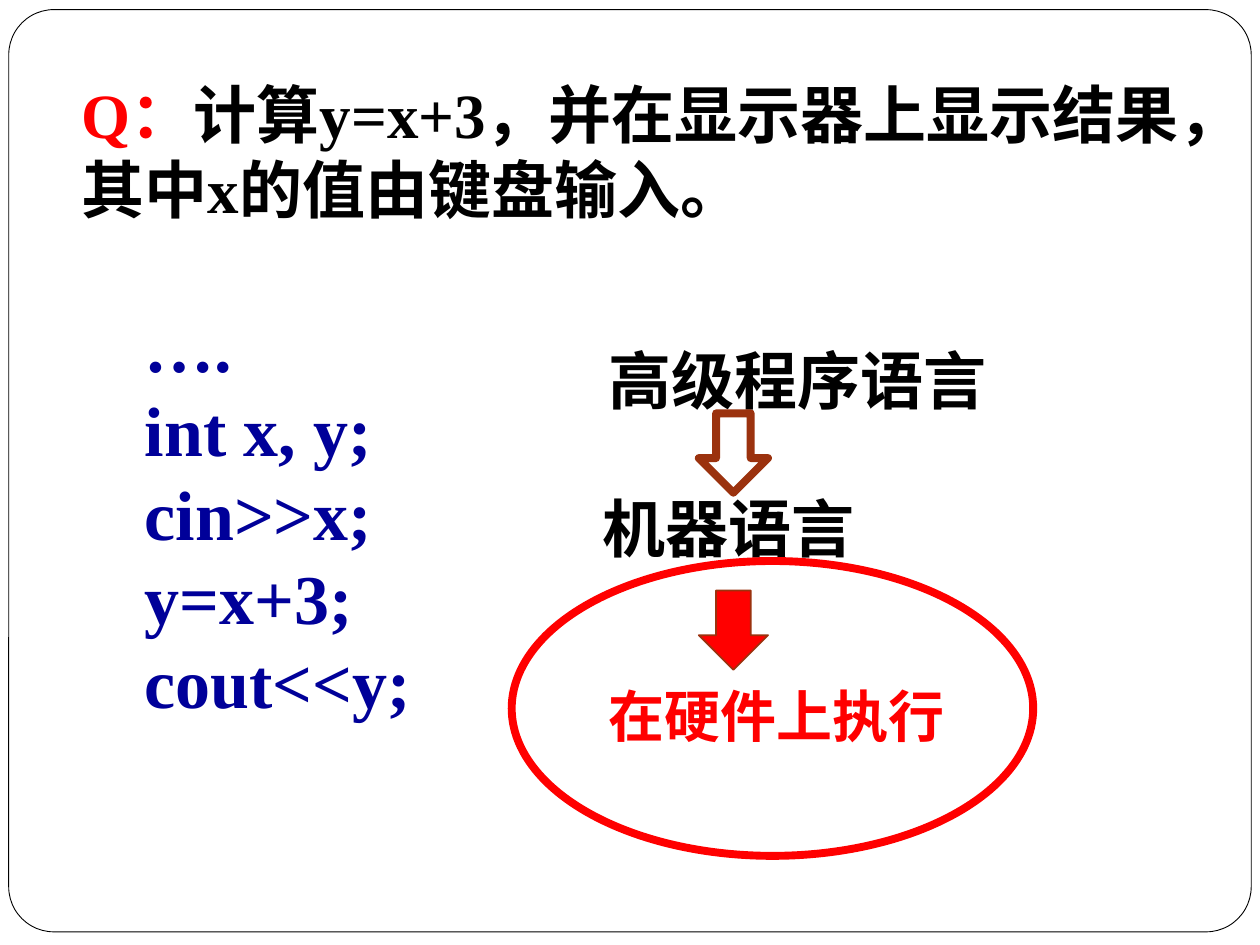
from dataclasses import dataclass
from typing import Optional

from pptx import Presentation
from pptx.dml.color import RGBColor
from pptx.enum.shapes import MSO_SHAPE
from pptx.enum.text import PP_ALIGN
from pptx.util import Pt

ROUNDED = MSO_SHAPE.ROUNDED_RECTANGLE
DOWN_ARROW = MSO_SHAPE.DOWN_ARROW
ELLIPSE = MSO_SHAPE.OVAL
LEFT_ALIGN = PP_ALIGN.LEFT

BLACK, WHITE, RED, NAVY, BROWN = "000000", "FFFFFF", "FF0000", "000099", "9B320E"
QUESTION = "计算y=x+3，并在显示器上显示结果，其中x的值由键盘输入。"
CODE = ["….", "int x, y;", "cin>>x;", "y=x+3;", "cout<<y;"]


@dataclass
class Area:
    left: float
    top: float
    width: float
    height: float

    def lengths(self) -> list:
        return [Pt(value) for value in (self.left, self.top, self.width, self.height)]


@dataclass
class Label:
    area: Area
    text: str
    size: int
    color: str


@dataclass
class Figure:
    kind: int
    area: Area
    line: str
    line_width: float
    fill: Optional[str] = None
    corner: Optional[float] = None


FRAME = Figure(ROUNDED, Area(5, 5.5, 710, 527), BLACK, 0.5, WHITE, 0.049)
QUESTION_AREA = Area(39.6, 39.6, 646.6, 377)
LABELS = [
    Label(Area(340.6, 196.6, 301, 46), "高级程序语言", 36, BLACK),
    Label(Area(337.4, 281.2, 301, 46), "机器语言", 36, BLACK),
    Label(Area(340.6, 390.2, 301, 42), "在硬件上执行", 32, RED),
]
FIGURES = [
    Figure(DOWN_ARROW, Area(399.3, 236.2, 39.6, 45.4), BROWN, 4.5),
    Figure(DOWN_ARROW, Area(399.3, 337.4, 39.6, 45.4), BROWN, 1, RED),
    Figure(ELLIPSE, Area(292.4, 320.6, 298, 168.5), RED, 4.5),
]


def rgb(color: str) -> RGBColor:
    return RGBColor.from_string(color)


def draw_figure(page, figure: Figure) -> None:
    shape = page.shapes.add_shape(figure.kind, *figure.area.lengths())
    shape.shadow.inherit = False
    if figure.corner is not None:
        shape.adjustments[0] = figure.corner
    if figure.fill:
        shape.fill.solid()
        shape.fill.fore_color.rgb = rgb(figure.fill)
    else:
        shape.fill.background()
    shape.line.color.rgb = rgb(figure.line)
    shape.line.width = Pt(figure.line_width)


def add_frame(page, area: Area):
    """Add a wrapping text box and return its text frame."""
    frame = page.shapes.add_textbox(*area.lengths()).text_frame
    frame.word_wrap = True
    return frame


def format_paragraph(para, **values) -> None:
    for name, value in {"alignment": LEFT_ALIGN, **values}.items():
        setattr(para, name, value)


def add_span(para, text: str, size: int, color: str) -> None:
    span = para.add_run()
    span.text = text
    for name, value in {"name": "Times New Roman", "size": Pt(size), "bold": True}.items():
        setattr(span.font, name, value)
    span.font.color.rgb = rgb(color)


def draw_label(page, label: Label) -> None:
    para = add_frame(page, label.area).paragraphs[0]
    format_paragraph(para, line_spacing=0.9)
    add_span(para, label.text, label.size, label.color)


def draw_question(page) -> None:
    frame = add_frame(page, QUESTION_AREA)
    para = frame.paragraphs[0]
    format_paragraph(para, line_spacing=Pt(43))
    add_span(para, "Q：", 36, RED)
    add_span(para, QUESTION, 36, BLACK)
    for index, statement in enumerate(CODE):
        para = frame.add_paragraph()
        gap = 0 if index else 44
        format_paragraph(para, line_spacing=Pt(48), space_before=Pt(gap))
        add_span(para, "\t" + statement, 40, NAVY)


def main() -> None:
    deck = Presentation()
    deck.slide_width, deck.slide_height = Pt(720), Pt(540)
    page = deck.slides.add_slide(deck.slide_layouts[6])
    draw_figure(page, FRAME)
    draw_question(page)
    for label in LABELS:
        draw_label(page, label)
    for figure in FIGURES:
        draw_figure(page, figure)
    deck.save("out.pptx")


if __name__ == "__main__":
    main()
